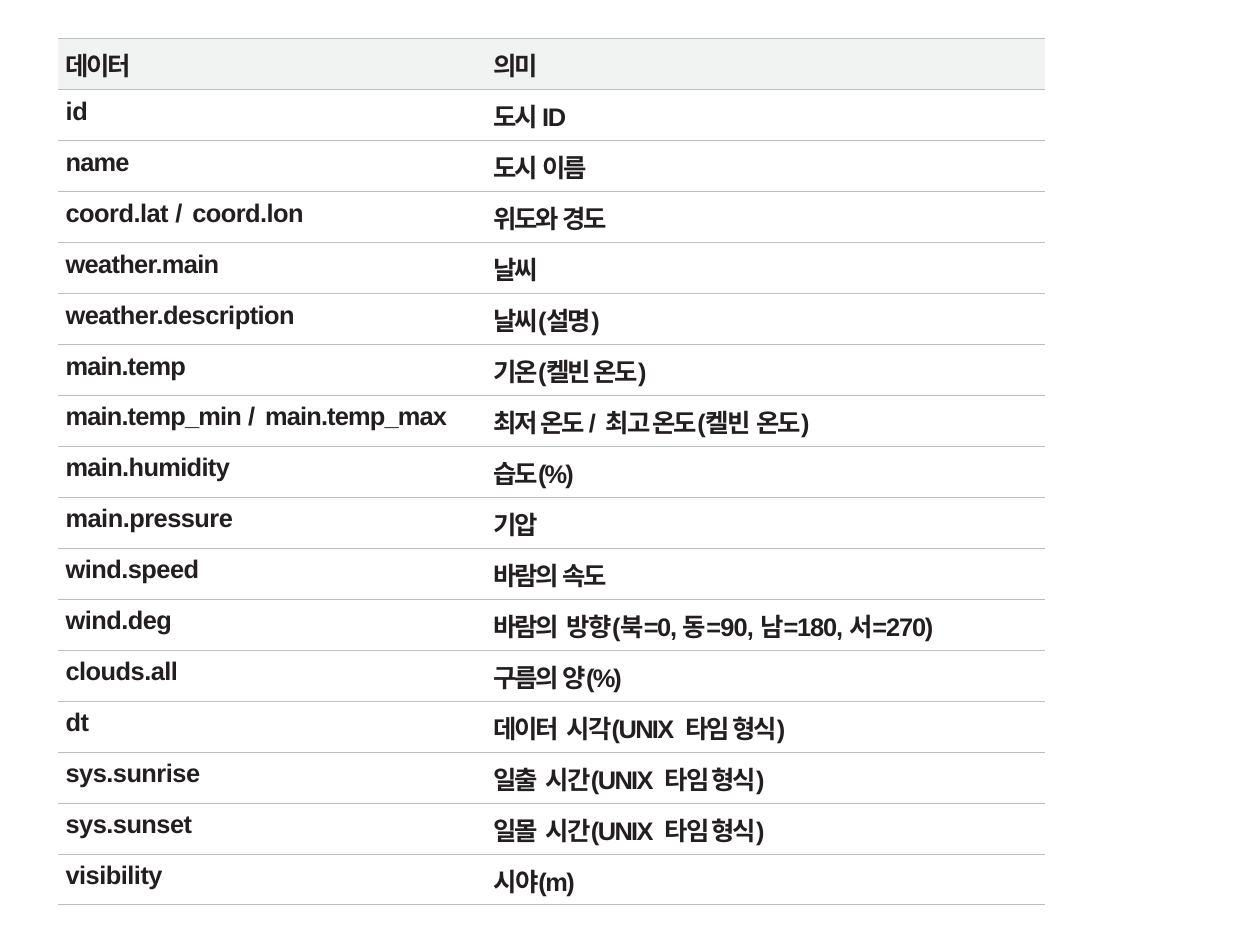
from typing import NamedTuple

from lxml import etree
from pptx import Presentation
from pptx import util as u
from pptx.dml.color import RGBColor
from pptx.enum import text
from pptx.oxml import ns

PX = 1270  # EMU in one px, 720 px to the inch
COLORS = {"text": "231F20", "header": "F1F2F2", "rule": "BCBEC0"}
FONT, FONT_SIZE = "Arial", 16
SLIDE_WIDTH, SLIDE_HEIGHT = 7930, 5950
TABLE_LEFT, TABLE_TOP = 365, 242
COLUMN_WIDTHS = (2490, 3722)
COLUMN_INDENTS = (48, 250)
ROW_HEIGHT, CELL_TOP = 321, 50


class Piece(NamedTuple):
    wording: str
    spacing: float  # letter spacing in points


class Entry(NamedTuple):
    data: list[Piece]
    meaning: list[Piece]


def unix_time(subject: Piece, moment: str) -> list[Piece]:
    return [subject, Piece(f"{moment}(UNIX  ", -1), Piece("타임 형식)", -1.2)]


def pair(first: str, second: str, spacing: float) -> list[Piece]:
    return [Piece(f"{first} ", spacing), Piece("/ ", 0.9), Piece(second, spacing)]


ENTRIES = [
    Entry([Piece("데이터", -1.4)], [Piece("의미", -1.4)]),
    Entry([Piece("id", -0.2)], [Piece("도시 ", -1.2), Piece("ID", -0.8)]),
    Entry([Piece("name", -0.5)], [Piece("도시 ", -1.2), Piece("이름", -1.4)]),
    Entry(pair("coord.lat", "coord.lon", -0.3),
          [Piece("위도와 ", -1.3), Piece("경도", -1.4)]),
    Entry([Piece("weather.main", -0.4)], [Piece("날씨", -1.4)]),
    Entry([Piece("weather.description", -0.3)], [Piece("날씨(설명)", -1.2)]),
    Entry([Piece("main.temp", -0.5)], [Piece("기온(켈빈 온도)", -1.2)]),
    Entry(pair("main.temp_min", "main.temp_max", -0.5),
          pair("최저 온도", "최고 온도(켈빈  온도)", -1.2)),
    Entry([Piece("main.humidity", -0.4)], [Piece("습도(%)", -1.2)]),
    Entry([Piece("main.pressure", -0.3)], [Piece("기압", -1.4)]),
    Entry([Piece("wind.speed", -0.3)], [Piece("바람의 ", -1.3), Piece("속도", -1.4)]),
    Entry([Piece("wind.deg", -0.3)],
          [Piece("바람의  ", -1.3), Piece("방향(북=0, ", -0.8),
           Piece("동=90, ", -0.5), Piece("남=180, 서=270)", -0.7)]),
    Entry([Piece("clouds.all", -0.3)], [Piece("구름의 ", -1.3), Piece("양(%)", -1.2)]),
    Entry([Piece("dt", -0.2)], unix_time(Piece("데이터  ", -1.3), "시각")),
    Entry([Piece("sys.sunrise", -0.3)], unix_time(Piece("일출  ", -1.2), "시간")),
    Entry([Piece("sys.sunset", -0.3)], unix_time(Piece("일몰  ", -1.2), "시간")),
    Entry([Piece("visibility", -0.3)], [Piece("시야(m)", -1)]),
]


def px(length: int) -> u.Emu:
    return u.Emu(length * PX)


def set_borders(cell) -> None:
    """Rule the top and bottom of a cell and leave its sides open."""
    properties = cell._tc.get_or_add_tcPr()
    for side in ("L", "R", "T", "B"):
        line = etree.SubElement(properties, ns.qn(f"a:ln{side}"), w=str(u.Pt(0.5)))
        if side in "LR":
            etree.SubElement(line, ns.qn("a:noFill"))
        else:
            fill = etree.SubElement(line, ns.qn("a:solidFill"))
            etree.SubElement(fill, ns.qn("a:srgbClr"), val=COLORS["rule"])


def write_cell(cell, pieces: list[Piece], indent: int) -> None:
    cell.margin_left = cell.margin_right = cell.margin_bottom = 0
    cell.margin_top = px(CELL_TOP)
    cell.vertical_anchor = text.MSO_ANCHOR.TOP
    paragraph = cell.text_frame.paragraphs[0]
    paragraph.space_before = u.Pt(3)
    paragraph._p.get_or_add_pPr().set("marL", str(px(indent)))
    for piece in pieces:
        run = paragraph.add_run()
        run.text = piece.wording
        run.font.name = FONT
        run.font.size = u.Pt(FONT_SIZE)
        run.font.bold = True
        run.font.color.rgb = RGBColor.from_string(COLORS["text"])
        run._r.get_or_add_rPr().set("spc", str(round(piece.spacing * 100)))


def add_data_table(slide, entries: list[Entry]) -> None:
    table = slide.shapes.add_table(
        len(entries), len(COLUMN_WIDTHS), px(TABLE_LEFT), px(TABLE_TOP),
        px(sum(COLUMN_WIDTHS)), px(ROW_HEIGHT * len(entries))).table
    table.horz_banding = False
    table.first_row = False
    for column, width in zip(table.columns, COLUMN_WIDTHS):
        column.width = px(width)
    for row_index, entry in enumerate(entries):
        table.rows[row_index].height = px(ROW_HEIGHT)
        for column_index, pieces in enumerate(entry):
            cell = table.cell(row_index, column_index)
            write_cell(cell, pieces, COLUMN_INDENTS[column_index])
            set_borders(cell)
            if row_index == 0:
                cell.fill.solid()
                cell.fill.fore_color.rgb = RGBColor.from_string(COLORS["header"])
            else:
                cell.fill.background()


def main() -> None:
    presentation = Presentation()
    presentation.slide_width = px(SLIDE_WIDTH)
    presentation.slide_height = px(SLIDE_HEIGHT)
    # Blank layout
    slide = presentation.slides.add_slide(presentation.slide_layouts[6])
    # Weather data fields and their meanings
    add_data_table(slide, ENTRIES)
    presentation.save("out.pptx")


if __name__ == "__main__":
    main()
